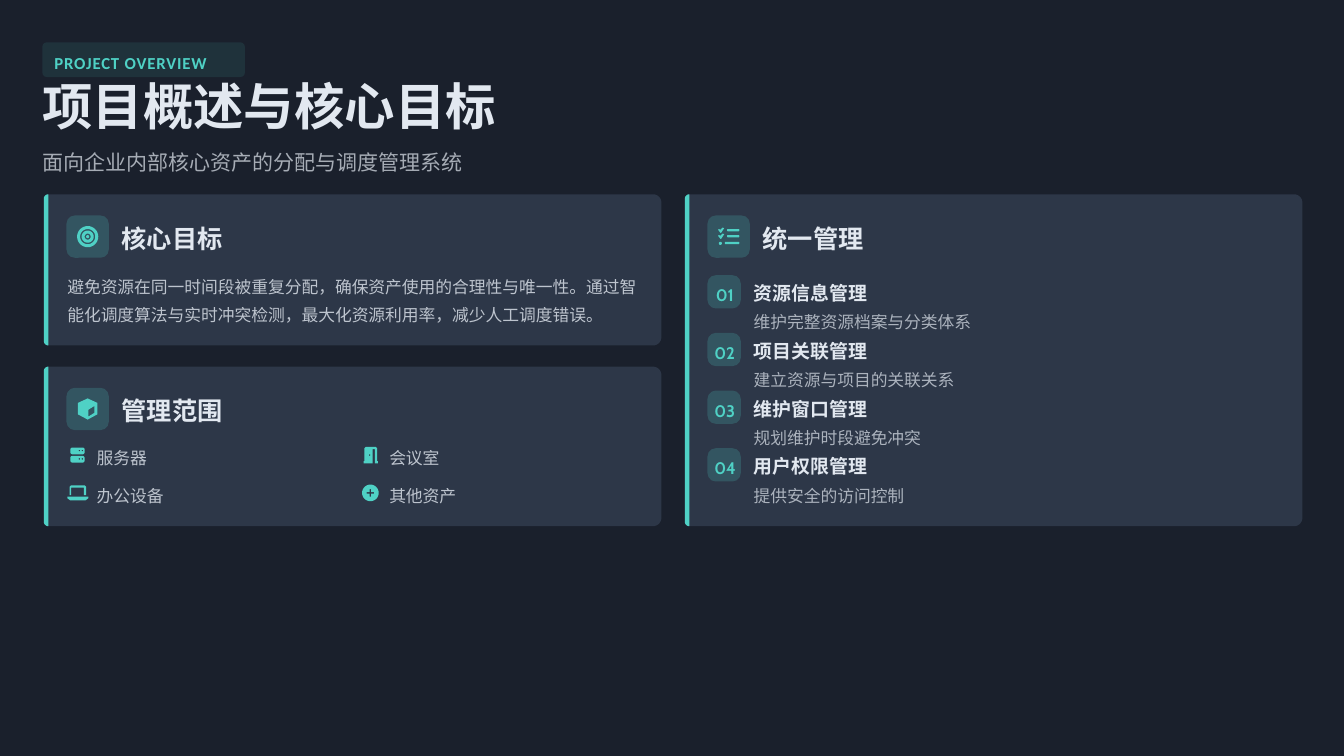
from dataclasses import dataclass
from math import cos, pi, sin

from lxml.etree import SubElement
from pptx import Presentation
from pptx.dml.color import RGBColor
from pptx.enum.shapes import MSO_SHAPE
from pptx.enum.text import MSO_ANCHOR
from pptx.oxml.ns import qn
from pptx.util import Inches, Pt


@dataclass(frozen=True)
class Theme:
    """Colours, fonts and type sizes of the slide."""
    bg: str = "1A202C"
    card: str = "2D3748"
    accent: str = "4FD1C5"
    text: str = "E2E8F0"
    body_font: str = "Cabin"
    title_font: str = "Noto Sans CJK SC"
    tag_font: str = "Calibri"
    title: int = 48
    heading: int = 24
    subtitle: int = 20
    item: int = 18
    body: int = 16


T = Theme()


def paint(fill, color, alpha=100):
    """Set a solid fill with an opacity in percent."""
    fill.solid()
    fill.fore_color.rgb = RGBColor.from_string(color)
    if alpha < 100:
        clr = fill._xPr.find(qn("a:solidFill"))[0]
        SubElement(clr, qn("a:alpha"), val=str(alpha * 1000))


def finish(sp, color, alpha=100):
    """Give a shape a plain fill without line or shadow."""
    sp.shadow.inherit = False
    sp.line.fill.background()
    paint(sp.fill, color, alpha)


def add_text(s, x, y, w, h, text, size, spacing, color=T.text, alpha=100,
             bold=False, font=T.body_font, tracking=None):
    """Add a text box with no margins, centred vertically."""
    tf = s.shapes.add_textbox(Inches(x), Inches(y), Inches(w), Inches(h)).text_frame
    tf.word_wrap = True
    tf.vertical_anchor = MSO_ANCHOR.MIDDLE
    tf.margin_left = tf.margin_right = tf.margin_top = tf.margin_bottom = 0
    p = tf.paragraphs[0]
    p.text = text
    p.line_spacing = spacing
    p.font.size, p.font.bold, p.font.name = Pt(size), bold, font
    paint(p.font.fill, color, alpha)
    rPr = p.font._rPr
    SubElement(rPr, qn("a:ea"), typeface=font)
    if tracking:
        rPr.set("spc", str(tracking))


def add_badge(s, x, y, w, h, radius=0.11, alpha=20):
    """Add a translucent rounded badge."""
    sp = s.shapes.add_shape(MSO_SHAPE.ROUNDED_RECTANGLE,
                            Inches(x), Inches(y), Inches(w), Inches(h))
    sp.adjustments[0] = radius / min(w, h)
    finish(sp, T.accent, alpha)


def rounded(x, y, w, h, left, right):
    """Return the outline of a box with left and right corner radii."""
    corners = [(x + left, y + left, left, 2), (x + w - right, y + right, right, 3),
               (x + w - right, y + h - right, right, 0), (x + left, y + h - left, left, 1)]
    return [(cx + r * cos((q + i / 8) * pi / 2), cy + r * sin((q + i / 8) * pi / 2))
            for cx, cy, r, q in corners for i in range(9 if r else 1)]


def circle(cx, cy, r):
    """Return the outline of a circle."""
    return rounded(cx - r, cy - r, 2 * r, 2 * r, r, r)


def plus(cx, cy, arm, half):
    """Return the outline of a plus sign."""
    a, b = arm, half
    return [(cx + dx, cy + dy) for dx, dy in [
        (-b, -a), (b, -a), (b, -b), (a, -b), (a, b), (b, b),
        (b, a), (-b, a), (-b, b), (-a, b), (-a, -b), (-b, -b)]]


def check(y):
    """Return the outline of a check mark whose top is at y."""
    return [(0, y + 0.03), (0.01, y + 0.02), (0.03, y + 0.03), (0.06, y),
            (0.08, y + 0.01), (0.04, y + 0.07), (0.03, y + 0.07)]


ICONS = {
    "target": [circle(0.14, 0.14, r) for r in (0.14, 0.1, 0.08, 0.04, 0.02)],
    "cube": [[(0.14, 0), (0.27, 0.06), (0.27, 0.21), (0.14, 0.28), (0.01, 0.21), (0.01, 0.06)],
             [(0.23, 0.19), (0.23, 0.1), (0.15, 0.15), (0.15, 0.24)]],
    "list": [check(0.02), check(0.1), circle(0.03, 0.23, 0.02),
             *[rounded(x, y, 0.28 - x, 0.03, 0.01, 0.01)
               for x, y in ((0.12, 0.04), (0.12, 0.12), (0.09, 0.21))]],
    "server": [*[rounded(0.04, y, 0.19, 0.09, 0.03, 0.03) for y in (0.01, 0.12)],
               *[circle(x, y, 0.01) for x in (0.16, 0.2) for y in (0.05, 0.16)]],
    "door": [[(0.17, 0.03), (0.2, 0.03), (0.2, 0.22), (0.24, 0.22), (0.24, 0.19), (0.23, 0.19),
              (0.23, 0.02), (0.21, 0), (0.08, 0), (0.06, 0.02), (0.06, 0.19), (0.05, 0.19),
              (0.05, 0.22), (0.17, 0.22)], circle(0.13, 0.11, 0.01)],
    "laptop": [[(0.03, 0.14), (0.03, 0.03), (0.05, 0.01), (0.23, 0.01), (0.25, 0.03), (0.25, 0.14),
                (0.22, 0.14), (0.22, 0.04), (0.05, 0.04), (0.05, 0.14)],
               [(0, 0.16), (0.28, 0.16), (0.28, 0.18), (0.24, 0.21), (0.04, 0.21), (0, 0.18)]],
    "plus": [circle(0.14, 0.11, 0.11), plus(0.14, 0.11, 0.05, 0.01)],
}


def add_outline(s, x, y, contours, color):
    """Draw closed contours as one freeform with its origin at x, y."""
    paths = [[(Inches(x + px), Inches(y + py)) for px, py in c] for c in contours]
    fb = s.shapes.build_freeform(*paths[0][0])
    for i, pts in enumerate(paths):
        if i:
            fb.move_to(*pts[0])
        fb.add_line_segments(pts[1:], close=True)
    finish(fb.convert_to_shape(), color)


def add_card(s, x, y, w, h, icon, heading):
    """Draw a card with accent edge, icon badge and heading."""
    add_outline(s, x, y, [rounded(0, 0, w, h, 0.06, 0.11)], T.card)
    add_outline(s, x, y, [rounded(0, 0, 0.06, h, 0.06, 0)], T.accent)
    add_badge(s, x + 0.3, y + 0.28, 0.56, 0.56)
    add_outline(s, x + 0.44, y + 0.42, ICONS[icon], T.accent)
    add_text(s, x + 1.03, y + 0.34, 1.5, 0.44, heading, T.heading, 1.1, bold=True)


def add_header(s, x, y, w):
    """Draw the tag, title and subtitle."""
    add_badge(s, x, y, 2.68, 0.46, radius=0.06, alpha=10)
    add_text(s, x + 0.16, y + 0.07, 2.46, 0.32, "PROJECT OVERVIEW", T.body, 1.3, T.accent,
             bold=True, font=T.tag_font, tracking=80)
    add_text(s, x, y + 0.57, w, 0.67, "项目概述与核心目标", T.title, 0.8,
             bold=True, font=T.title_font)
    add_text(s, x, y + 1.35, w, 0.39, "面向企业内部核心资产的分配与调度管理系统",
             T.subtitle, 1.2, alpha=70)


def add_goal(s, x, y, w, h):
    """Draw the core goal card."""
    add_card(s, x, y, w, h, "target", "核心目标")
    add_text(s, x + 0.31, y + 1, w - 0.48, 0.72,
             "避免资源在同一时间段被重复分配，确保资产使用的合理性与唯一性。"
             "通过智能化调度算法与实时冲突检测，最大化资源利用率，减少人工调度错误。",
             T.body, 1.4, alpha=80)


def add_scope(s, x, y, w, h):
    """Draw the scope card with its two-column grid of assets."""
    add_card(s, x, y, w, h, "cube", "管理范围")
    assets = [("server", "服务器"), ("door", "会议室"), ("laptop", "办公设备"), ("plus", "其他资产")]
    for i, (icon, label) in enumerate(assets):
        row, col = divmod(i, 2)
        left, top = x + 0.31 + col * 3.87, y + 1.06 + row * 0.5
        add_outline(s, left, top, ICONS[icon], T.accent)
        add_text(s, left + 0.39, top - 0.06, 1, 0.33, label, T.body, 1.3, alpha=80)


def add_management(s, x, y, w, h):
    """Draw the unified management card with its numbered list."""
    add_card(s, x, y, w, h, "list", "统一管理")
    items = [("资源信息管理", "维护完整资源档案与分类体系"),
             ("项目关联管理", "建立资源与项目的关联关系"),
             ("维护窗口管理", "规划维护时段避免冲突"),
             ("用户权限管理", "提供安全的访问控制")]
    for i, (name, detail) in enumerate(items):
        top = y + 1.07 + i * 0.763
        add_badge(s, x + 0.3, top, 0.44, 0.44)
        add_text(s, x + (0.39 if i else 0.41), top + 0.06, 0.38, 0.33, f"{i + 1:02}",
                 T.body, 1.3, T.accent, bold=True)
        add_text(s, x + 0.91, top, 3, 0.39, name, T.item, 1.3, bold=True)
        add_text(s, x + 0.91, top + 0.39, 3, 0.36, detail, T.body, 1.4, alpha=70)


def main():
    """Build and save the slide."""
    prs = Presentation()
    prs.slide_width, prs.slide_height = Inches(17.78), Inches(10)
    s = prs.slides.add_slide(prs.slide_layouts[6])
    paint(s.background.fill, T.bg)
    add_header(s, 0.56, 0.56, 16.81)
    add_goal(s, 0.58, 2.57, 8.17, 2)
    add_scope(s, 0.58, 4.85, 8.17, 2.11)
    add_management(s, 9.06, 2.57, 8.17, 4.39)
    prs.save("out.pptx")


if __name__ == "__main__":
    main()
